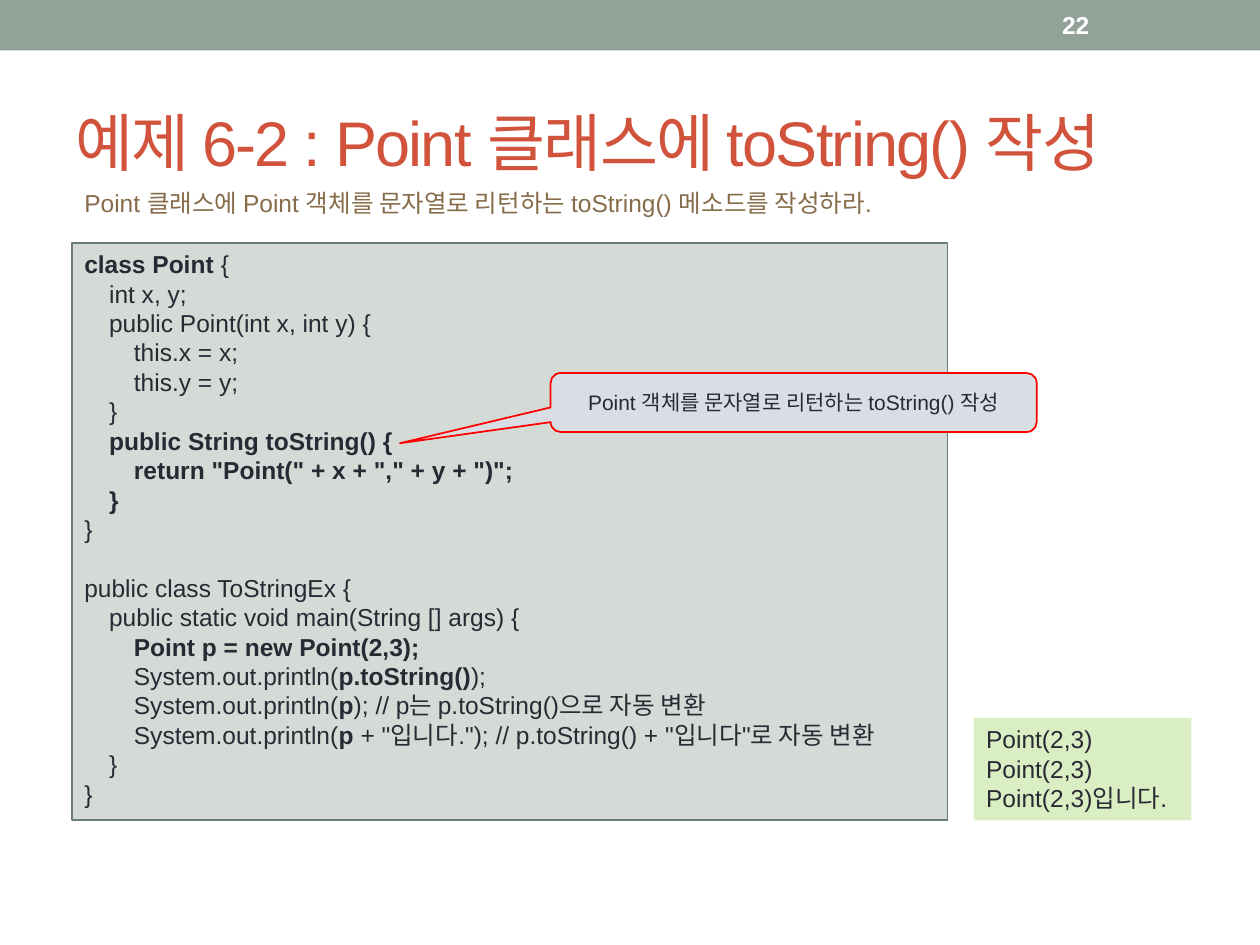
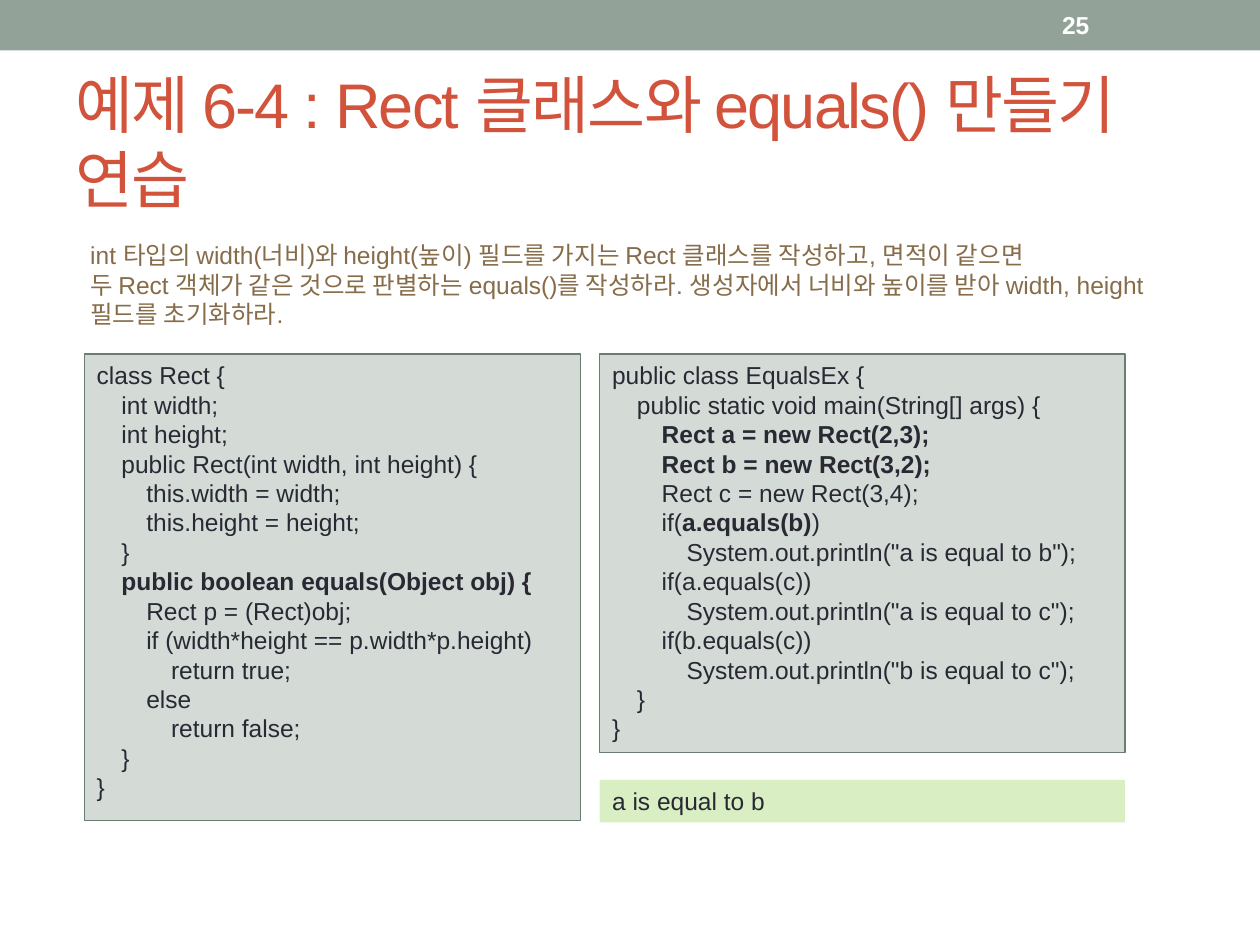
"""Builds two Java example slides: Point.toString() and Rect.equals()."""
from dataclasses import dataclass

from lxml import etree
from pptx import Presentation
from pptx.dml.color import RGBColor
from pptx.enum.shapes import MSO_SHAPE
from pptx.enum.text import MSO_ANCHOR, MSO_AUTO_SIZE, PP_ALIGN
from pptx.oxml.ns import qn
from pptx.util import Cm, Pt


@dataclass(frozen=True)
class Theme:
    font: str = "Arial"
    band: str = "93A299"
    title: str = "D2533C"
    task: str = "866C49"
    text: str = "292934"
    number: str = "FFFFFF"
    code_fill: str = "D4DAD6"
    code_line: str = "6B7D72"
    output_fill: str = "DAEEC4"
    callout_fill: str = "D9DEE4"
    callout_line: str = "FF0000"
    title_size: int = 36
    body_size: int = 14
    callout_size: int = 12
    leading: float = 1.2
    tab_width: float = 0.5


THEME = Theme()

POINT_CODE = """**class Point **{
    int x, y;
    public Point(int x, int y) {
        this.x = x;
        this.y = y;
    }
    **public String toString() {**
        **return "Point(" + x + "," + y + ")";**
    **}**
}

public class ToStringEx {
    public static void main(String [] args) {
        **Point p = new Point(2,3);**
        System.out.println(**p.toString()**);
        System.out.println(**p**); // p는 p.toString()으로 자동 변환
        System.out.println(**p** + "입니다."); // p.toString() + "입니다"로 자동 변환
    }
}"""

RECT_CODE = """class Rect {
    int width;
    int height;
    public Rect(int width, int height) {
        this.width = width;
        this.height = height;
    }
    **public boolean equals(Object obj) {**
        Rect p = (Rect)obj;
        if (width*height == p.width*p.height)
            return true;
        else
            return false;
    }
}"""

EQUALS_CODE = """public class EqualsEx {
    public static void main(String[] args) {
        **Rect a = new Rect(2,3);**
        **Rect b = new Rect(3,2);**
        Rect c = new Rect(3,4);
        if(**a.equals(b)**)
            System.out.println("a is equal to b");
        if(a.equals(c))
            System.out.println("a is equal to c");
        if(b.equals(c))
            System.out.println("b is equal to c");
    }
}"""

RECT_TASK = """int 타입의 width(너비)와 height(높이) 필드를 가지는 Rect 클래스를 작성하고, 면적이 같으면
두 Rect 객체가 같은 것으로 판별하는 equals()를 작성하라. 생성자에서 너비와 높이를 받아 width, height 필드를 초기화하라."""

EXAMPLES = [
    {
        "number": "22",
        "title": "예제 6-2 : Point 클래스에 toString() 작성",
        "task": ((1.45, 3.66, 18.44, 0.86),
                 "Point 클래스에 Point 객체를 문자열로 리턴하는 toString() 메소드를 작성하라."),
        "code": [((1.45, 4.9, 17.65, 11.63), POINT_CODE)],
        "output": ((19.63, 14.48, 4.39, 2.06), "Point(2,3)\nPoint(2,3)\nPoint(2,3)입니다."),
        "callout": ((11.1, 7.52, 9.8, 1.19), "Point 객체를 문자열로 리턴하는 toString() 작성"),
    },
    {
        "number": "25",
        "title": "예제 6-4 : Rect 클래스와 equals() 만들기 연습",
        "task": ((1.57, 4.72, 21.82, 2.06), RECT_TASK),
        "code": [((1.7, 7.14, 10.01, 9.4), RECT_CODE),
                 ((12.09, 7.14, 10.59, 8.03), EQUALS_CODE)],
        "output": ((12.09, 15.72, 10.59, 0.86), "a is equal to b"),
        "callout": None,
    },
]


def add_panel(slide, box, fill, line=None, width=0.75, kind=MSO_SHAPE.RECTANGLE):
    panel = slide.shapes.add_shape(kind, *map(Cm, box))
    panel.shadow.inherit = False
    panel.fill.solid()
    panel.fill.fore_color.rgb = RGBColor.from_string(fill)
    if line:
        panel.line.color.rgb = RGBColor.from_string(line)
        panel.line.width = Pt(width)
    else:
        panel.line.fill.background()
    return panel


def write(shape, text, color=THEME.text, size=THEME.body_size, bold=False,
          align=PP_ALIGN.LEFT, anchor=MSO_ANCHOR.TOP, wrap=True):
    frame = shape.text_frame
    frame.word_wrap = wrap
    frame.auto_size = MSO_AUTO_SIZE.NONE
    frame.vertical_anchor = anchor
    line_height = Pt(size * THEME.leading)
    paragraph, gap = frame.paragraphs[0], 0
    for index, line in enumerate(text.split("\n")):
        if not line:
            gap = line_height
            continue
        if index:
            paragraph = frame.add_paragraph()
        paragraph.alignment = align
        paragraph.line_spacing = line_height
        paragraph.space_before = gap
        gap = 0
        line = line.replace("    ", "\t")
        if "\t" in line:
            stops = etree.SubElement(paragraph._p.get_or_add_pPr(), qn("a:tabLst"))
            for level in (1, 2, 3):
                etree.SubElement(stops, qn("a:tab"), pos=str(Cm(THEME.tab_width * level)), algn="l")
        paragraph.font.name = THEME.font
        paragraph.font.size = Pt(size)
        paragraph.font.bold = bold
        paragraph.font.color.rgb = RGBColor.from_string(color)
        for position, part in enumerate(line.split("**")):
            if part:
                run = paragraph.add_run()
                run.text = part
                if position % 2:
                    run.font.bold = True


deck = Presentation()
deck.slide_width, deck.slide_height = Cm(25.4), Cm(19.05)

for example in EXAMPLES:
    slide = deck.slides.add_slide(deck.slide_layouts[5])
    add_panel(slide, (0, 0, 25.4, 1.02), THEME.band)

    title = slide.shapes.title
    title.left, title.top, title.width, title.height = map(Cm, (1.27, 1.47, 22.86, 2.74))
    write(title, example["title"], THEME.title, THEME.title_size, anchor=MSO_ANCHOR.MIDDLE)
    title.text_frame.paragraphs[0].runs[0]._r.get_or_add_rPr().set("spc", "-100")

    for box, code in example["code"]:
        write(add_panel(slide, box, THEME.code_fill, THEME.code_line), code)

    box, printed = example["output"]
    write(add_panel(slide, box, THEME.output_fill), printed, wrap=False)

    number = slide.shapes.add_textbox(*map(Cm, (21.16, 0.05, 2.97, 0.91)))
    write(number, example["number"], THEME.number, bold=True, anchor=MSO_ANCHOR.MIDDLE)

    if example["callout"]:
        box, remark = example["callout"]
        callout = add_panel(slide, box, THEME.callout_fill, THEME.callout_line, 1,
                            MSO_SHAPE.ROUNDED_RECTANGULAR_CALLOUT)
        for index, value in enumerate((-0.81, 0.69, 0.17)):
            callout.adjustments[index] = value
        write(callout, remark, size=THEME.callout_size,
              align=PP_ALIGN.CENTER, anchor=MSO_ANCHOR.MIDDLE)

    box, task = example["task"]
    write(slide.shapes.add_textbox(*map(Cm, box)), task, THEME.task)

deck.save("out.pptx")
